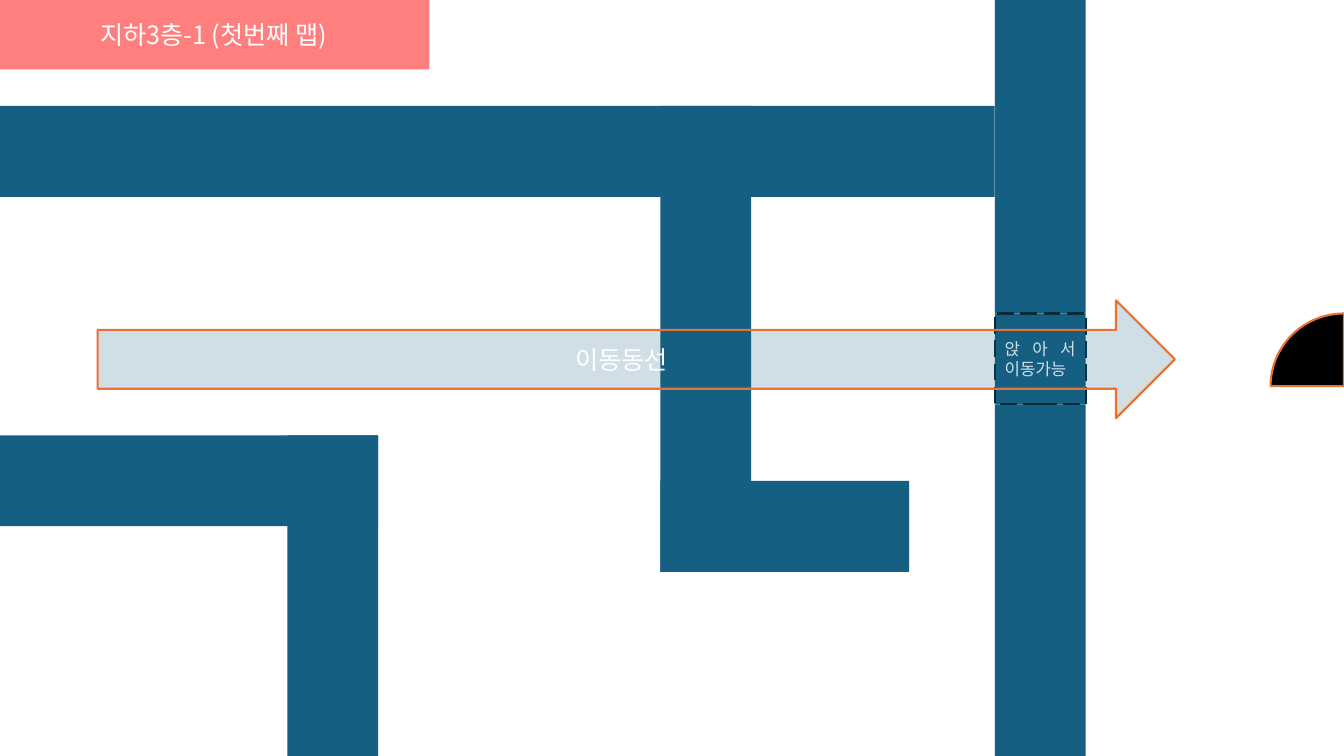
from lxml.etree import SubElement
from pptx import Presentation
from pptx.dml.color import RGBColor
from pptx.enum.dml import MSO_LINE
from pptx.enum.shapes import MSO_SHAPE
from pptx.enum.text import MSO_ANCHOR, MSO_AUTO_SIZE, PP_ALIGN
from pptx.oxml.ns import qn
from pptx.util import Cm, Pt

BLUE = RGBColor(0x15, 0x60, 0x82)
NAVY = RGBColor(0x09, 0x2A, 0x39)
ORANGE = RGBColor(0xE9, 0x71, 0x32)
RED = RGBColor(0xFF, 0x00, 0x00)
BLACK = RGBColor(0x00, 0x00, 0x00)
WHITE = RGBColor(0xFF, 0xFF, 0xFF)
FONT = "Noto Sans CJK KR"
WIDE, HIGH = 33.87, 19.05
WALL = 2.29  # thickness of every wall


def paint(shape, color, alpha=100):
    shape.fill.solid()
    shape.fill.fore_color.rgb = color
    if alpha < 100:
        tint = shape.fill._xPr.find(qn("a:solidFill"))[0]
        SubElement(tint, qn("a:alpha"), val=str(alpha * 1000))


def draw(slide, kind, box, color, alpha=100, line=None, dash=None):
    shape = slide.shapes.add_shape(kind, *[Cm(v) for v in box])
    shape.shadow.inherit = False
    paint(shape, color, alpha)
    if line is None:
        shape.line.fill.background()
    else:
        shape.line.color.rgb = line
        shape.line.width = Pt(1.5)
        shape.line.dash_style = dash
    return shape


def write(shape, text, size=18, color=WHITE, align=PP_ALIGN.CENTER):
    frame = shape.text_frame
    frame.word_wrap = True
    frame.auto_size = MSO_AUTO_SIZE.NONE
    frame.vertical_anchor = MSO_ANCHOR.MIDDLE
    par = frame.paragraphs[0]
    par.alignment = align
    run = par.add_run()
    run.text = text
    run.font.size = Pt(size)
    run.font.name = FONT
    run.font.color.rgb = color
    SubElement(run._r.get_or_add_rPr(), qn("a:ea"), typeface=FONT)


def add_head(slide, box):
    title = slide.shapes.title
    title.left, title.top, title.width, title.height = [Cm(v) for v in box]
    paint(title, RED, alpha=50)
    write(title, "지하3층-1 (첫번째 맵)")


def add_walls(slide, box):
    x, y, w, h = box
    main, stem, bend = x + 25.07, x + 16.64, x + 7.24
    roof, foot, low = y + 2.67, y + 12.12, y + 10.97
    gate = y + 7.9
    base = gate + WALL
    walls = [
        (x, roof, main - x, WALL),                     # top corridor
        (main, y, WALL, gate - y),                     # main wall above gate
        (stem, roof, WALL, foot + WALL - roof),        # middle stem
        (stem, foot, 6.27, WALL),                      # foot of the stem
        (x, low, bend + WALL - x, WALL),               # lower corridor
        (bend, low, WALL, y + h - low),                # lower corridor, down
        (main, base, WALL, y + h - base),              # main wall below gate
    ]
    for wall in walls:
        draw(slide, MSO_SHAPE.RECTANGLE, wall, BLUE)

    # Low gate to crawl through
    door = draw(slide, MSO_SHAPE.RECTANGLE, (main, gate, WALL, WALL), BLUE,
                line=NAVY, dash=MSO_LINE.LONG_DASH)
    write(door, "앉아서 이동가능", size=12, align=PP_ALIGN.JUSTIFY)


def add_route(slide, box):
    x, y, w, h = box
    arrow = draw(slide, MSO_SHAPE.RIGHT_ARROW, (x, y, 27.15, h), BLUE,
                 alpha=20, line=ORANGE)
    write(arrow, "이동동선")

    # Exit: quarter pie centred on the right edge
    size = 3.7
    hole = draw(slide, MSO_SHAPE.PIE,
                (x + w - size / 2, y + 0.33, size, 3.66), BLACK, line=ORANGE)
    hole.adjustments[0] = 108  # 180 degrees
    hole.adjustments[1] = 162  # 270 degrees


def main():
    deck = Presentation()
    deck.slide_width, deck.slide_height = Cm(WIDE), Cm(HIGH)
    slide = deck.slides.add_slide(deck.slide_layouts[5])
    add_walls(slide, (0, 0, WIDE, HIGH))
    add_route(slide, (2.46, 7.57, WIDE - 2.46, 2.97))
    add_head(slide, (-0.05, 0, 10.87, 1.75))
    deck.save("out.pptx")


if __name__ == "__main__":
    main()
